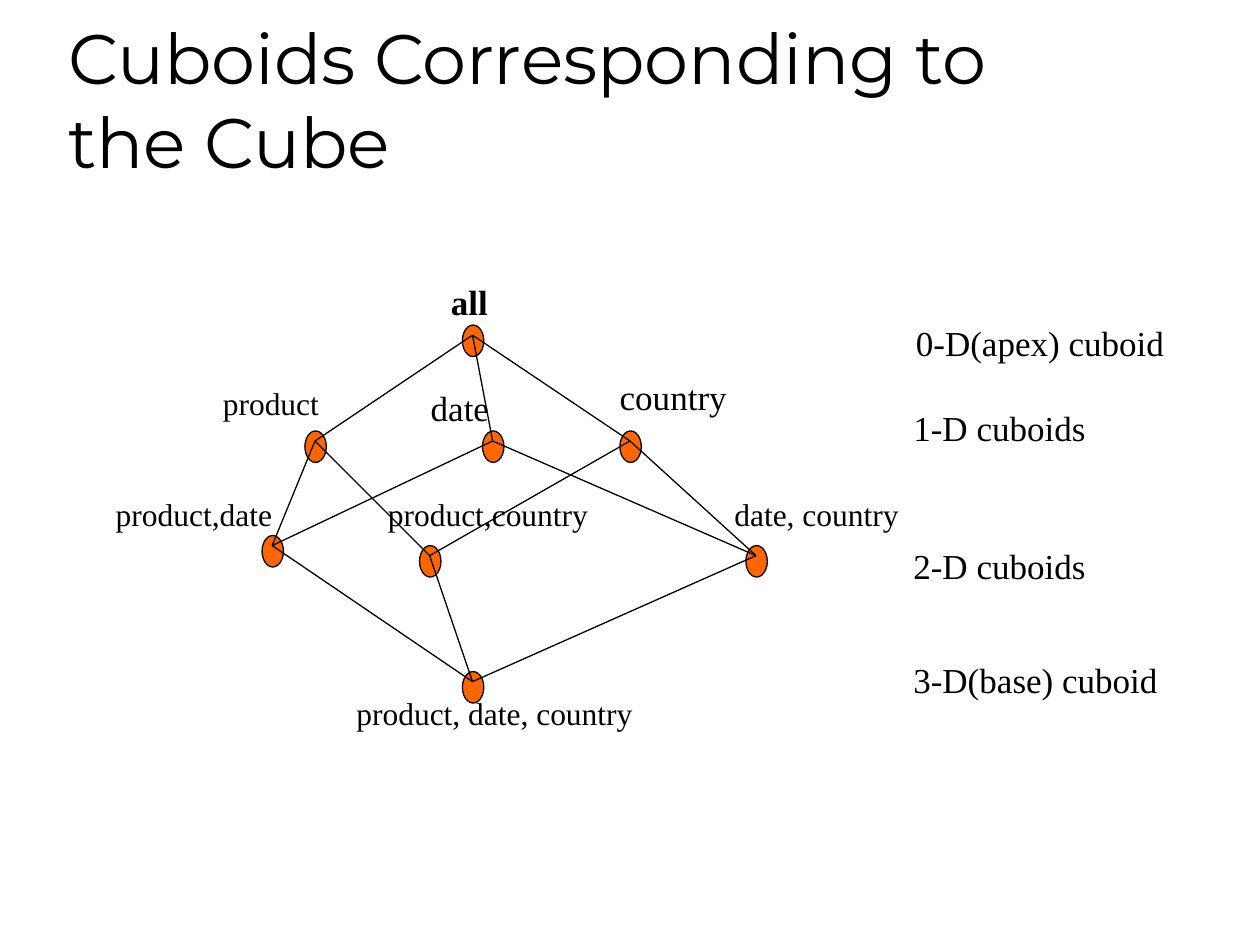
import pptx
import pptx.util
import pptx.dml.color
import pptx.enum.shapes
import pptx.enum.text
import pptx.oxml.ns
import lxml.etree

Inches = pptx.util.Inches


def color(value):
    return pptx.dml.color.RGBColor.from_string(value)


def style_text(text_frame, font_name, size, bold=False):
    paragraph = text_frame.paragraphs[0]
    paragraph.alignment = pptx.enum.text.PP_ALIGN.LEFT
    font = paragraph.runs[0].font
    font.name = font_name
    font.size = pptx.util.Pt(size)
    font.bold = bold
    font.color.rgb = color("000000")


presentation = pptx.Presentation()
presentation.slide_width = Inches(10)
presentation.slide_height = Inches(7.5)
slide = presentation.slides.add_slide(presentation.slide_layouts[5])

title = slide.shapes.title
title.left, title.top = Inches(0.44), Inches(0.25)
title.width, title.height = Inches(8.5), Inches(1.25)
title.text_frame.text = "Cuboids Corresponding to the Cube"
title.text_frame.word_wrap = True
title.text_frame.auto_size = pptx.enum.text.MSO_AUTO_SIZE.NONE
title.text_frame.vertical_anchor = pptx.enum.text.MSO_ANCHOR.BOTTOM
style_text(title.text_frame, "Montserrat", 40)

node_width, node_height = 0.17, 0.25
line_offset = 0.08
nodes = {
    "all": (3.67, 2.58),
    "product": (2.42, 3.42),
    "date": (3.83, 3.42),
    "country": (4.92, 3.42),
    "product,date": (2.08, 4.25),
    "date,country": (5.92, 4.33),
    "product,country": (3.33, 4.33),
    "base": (3.67, 5.33),
}
for left, top in nodes.values():
    node = slide.shapes.add_shape(
        pptx.enum.shapes.MSO_SHAPE.FLOWCHART_CONNECTOR,
        Inches(left), Inches(top), Inches(node_width), Inches(node_height))
    node.shadow.inherit = False
    node.fill.solid()
    node.fill.fore_color.rgb = color("FF6600")
    node.line.color.rgb = color("000000")
    node.line.width = pptx.util.Pt(0.75)

children = {
    "all": ["product", "country", "date"],
    "product": ["product,date", "product,country"],
    "date": ["product,date", "date,country"],
    "country": ["product,country", "date,country"],
    "product,date": ["base"],
    "product,country": ["base"],
    "date,country": ["base"],
}
for parent, child_names in children.items():
    for child in child_names:
        ends = [Inches(value + line_offset) for value in nodes[parent] + nodes[child]]
        edge = slide.shapes.add_connector(pptx.enum.shapes.MSO_CONNECTOR.STRAIGHT, *ends)
        edge.line.color.rgb = color("000000")
        edge.line.width = pptx.util.Pt(0.75)
        lxml.etree.SubElement(edge._element.spPr, pptx.oxml.ns.qn("a:effectLst"))

labels = [
    ("all", 3.48, 2.18, 0.51, 20),
    ("product", 1.67, 3, 0.98, 18),
    ("date", 3.32, 3.02, 0.68, 20),
    ("country", 4.82, 2.93, 1.07, 20),
    ("product,date", 0.82, 3.88, 1.46, 18),
    ("product,country", 2.98, 3.88, 1.81, 18),
    ("date, country", 5.73, 3.88, 1.52, 18),
    ("product, date, country", 2.73, 5.46, 2.41, 18),
    ("0-D(apex) cuboid", 7.17, 2.5, 2.19, 20),
    ("1-D cuboids", 7.15, 3.18, 1.59, 20),
    ("2-D cuboids", 7.15, 4.27, 1.59, 20),
    ("3-D(base) cuboid", 7.15, 5.18, 2.16, 20),
]
for text, left, top, width, size in labels:
    height = 0.44 if size == 20 else 0.4
    label = slide.shapes.add_textbox(Inches(left), Inches(top), Inches(width), Inches(height))
    label.text_frame.text = text
    label.text_frame.word_wrap = False
    label.text_frame.auto_size = pptx.enum.text.MSO_AUTO_SIZE.SHAPE_TO_FIT_TEXT
    style_text(label.text_frame, "Times New Roman", size, bold=text == "all")

presentation.save("out.pptx")
